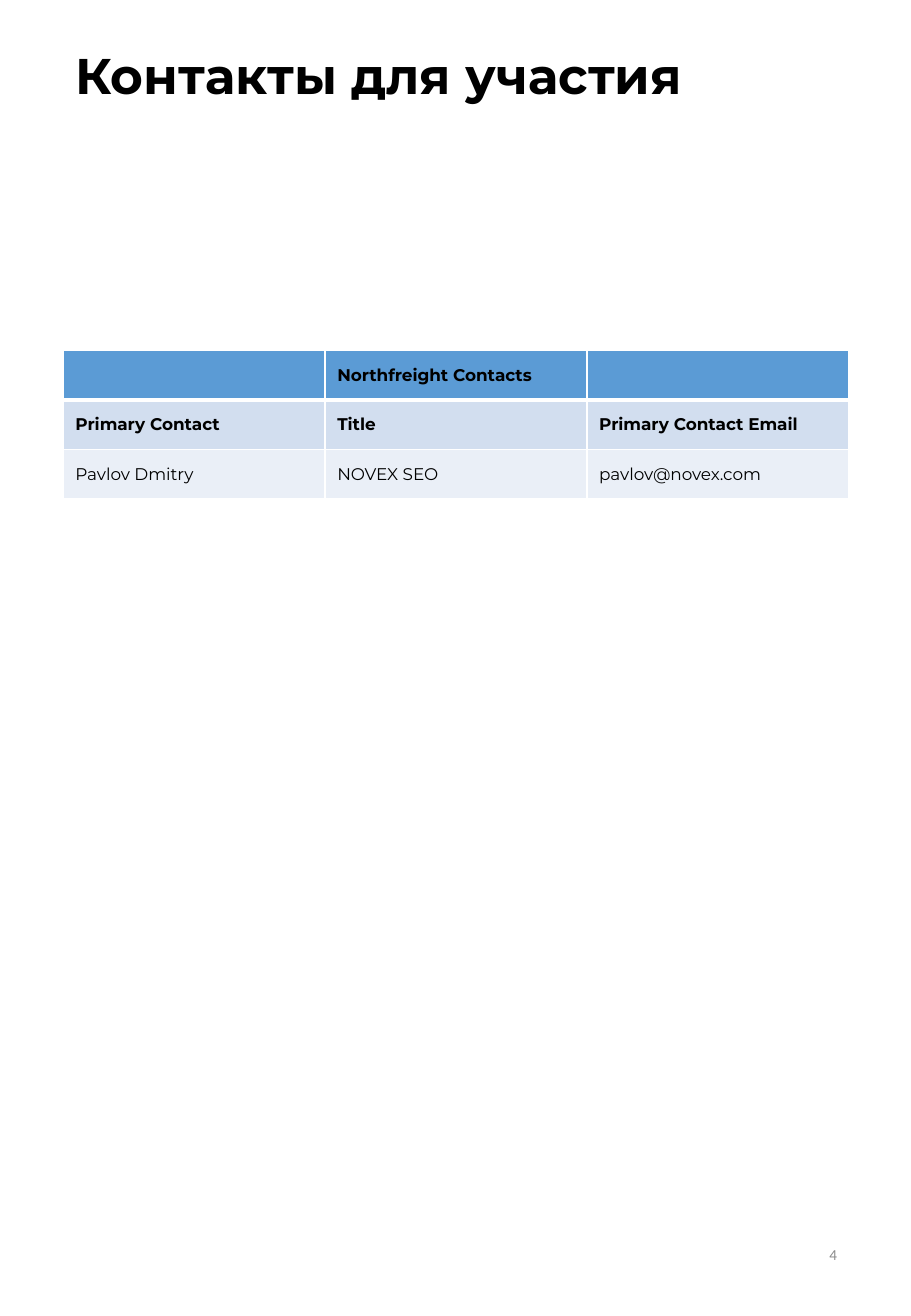
from pptx import Presentation
from pptx.dml.color import RGBColor
from pptx.enum.text import MSO_ANCHOR, PP_ALIGN
from pptx.oxml import parse_xml
from pptx.oxml.ns import nsdecls
from pptx.util import Pt

BLACK = RGBColor(0x00, 0x00, 0x00)
GREY = RGBColor(0x8C, 0x8C, 0x8C)
HEADER_BLUE = RGBColor(0x5B, 0x9B, 0xD5)
MID_BLUE = RGBColor(0xD2, 0xDE, 0xEF)
PALE_BLUE = RGBColor(0xEA, 0xEF, 0xF7)
BORDER_WHITE = RGBColor(0xFF, 0xFF, 0xFF)

LEFT, WIDTH = 37.5, 465.75


def add_text(frame, text, size, font, color, bold=False):
    frame.word_wrap = True
    paragraph = frame.paragraphs[0]
    run = paragraph.add_run()
    run.text = text
    run.font.size = Pt(size)
    run.font.name = font
    run.font.bold = bold
    run.font.color.rgb = color
    return paragraph


def add_border(cell, side, width):
    # Borders come before the fill in the cell properties
    cell._tc.get_or_add_tcPr().append(parse_xml(
        f'<a:{side} {nsdecls("a")} w="{Pt(width)}"><a:solidFill>'
        f'<a:srgbClr val="{BORDER_WHITE}"/></a:solidFill></a:{side}>'))


presentation = Presentation()
presentation.slide_width = Pt(540)
presentation.slide_height = Pt(780)
slide = presentation.slides.add_slide(presentation.slide_layouts[6])

# Title
title = slide.shapes.add_textbox(Pt(LEFT), Pt(30.5), Pt(WIDTH), Pt(33))
title.text_frame.margin_top = title.text_frame.margin_bottom = 0
paragraph = add_text(title.text_frame, "Контакты для участия", 29.7,
                     "Montserrat", BLACK, bold=True)
paragraph.line_spacing = 0.9

# Contacts table: text, fill, bold and bottom border of each row
rows = [
    (["", "Northfreight Contacts", ""], HEADER_BLUE, True, 3),
    (["Primary Contact", "Title", "Primary Contact Email"], MID_BLUE, True, 1),
    (["Pavlov Dmitry", "NOVEX SEO", "pavlov@novex.com"], PALE_BLUE, False, 1),
]
table = slide.shapes.add_table(len(rows), 3, Pt(LEFT), Pt(207.75),
                               Pt(WIDTH), Pt(88)).table
for column in table.columns:
    column.width = Pt(WIDTH / 3)
for row_index, (texts, fill, bold, bottom_width) in enumerate(rows):
    table.rows[row_index].height = Pt(29.3)
    top_width = rows[row_index - 1][3] if row_index else 1
    for column_index, text in enumerate(texts):
        cell = table.cell(row_index, column_index)
        cell.vertical_anchor = MSO_ANCHOR.MIDDLE
        for side, width in (("lnL", 1), ("lnR", 1),
                            ("lnT", top_width), ("lnB", bottom_width)):
            add_border(cell, side, width)
        cell.fill.solid()
        cell.fill.fore_color.rgb = fill
        if text:
            add_text(cell.text_frame, text, 10, "Montserrat", BLACK, bold)

# Page number
page_number = slide.shapes.add_textbox(Pt(381.5), Pt(723), Pt(121.75), Pt(41.5))
page_number.text_frame.vertical_anchor = MSO_ANCHOR.MIDDLE
paragraph = add_text(page_number.text_frame, "4", 9, "Calibri", GREY)
paragraph.alignment = PP_ALIGN.RIGHT

presentation.save("out.pptx")
